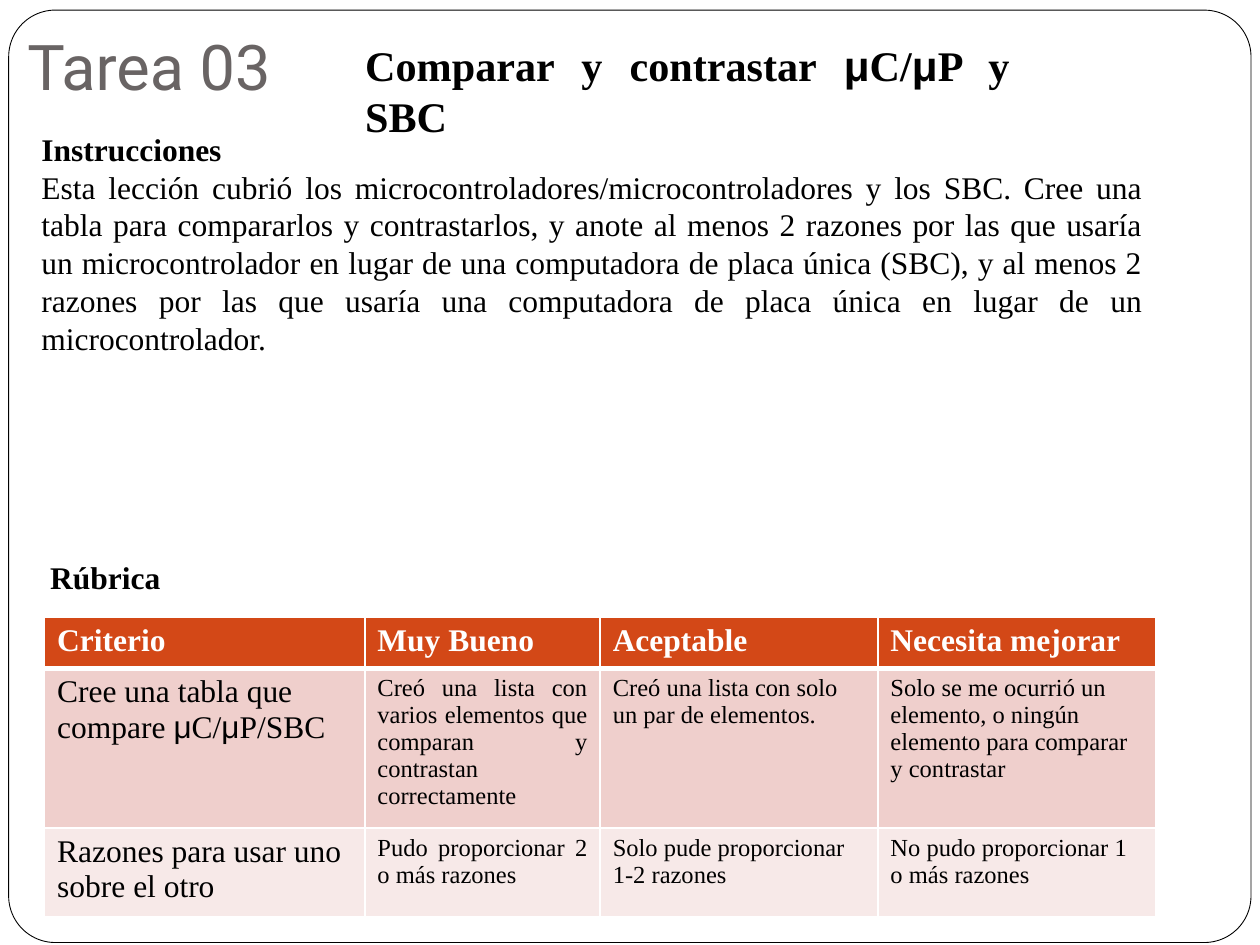
from dataclasses import dataclass, field
from itertools import groupby

from lxml import etree
from pptx import Presentation
from pptx import util as u
from pptx.dml.color import RGBColor
from pptx.enum import shapes, text
from pptx.oxml.ns import qn


@dataclass(frozen=True)
class Theme:
    ink: str = "000000"
    paper: str = "FFFFFF"
    title_ink: str = "696464"
    header: str = "D34817"
    bands: tuple = ("EFCFCC", "F7E9E8")
    serif: str = "Times New Roman"
    greek: str = "Arial"
    display: str = "Roboto"
    title: float = 36
    subtitle: float = 24.1
    body: float = 18
    detail: float = 14


THEME = Theme()
JUSTIFY = text.PP_ALIGN.JUSTIFY


@dataclass(frozen=True)
class Line:
    wording: str
    size: float = THEME.body
    bold: bool = False
    color: str = THEME.ink
    font: str = THEME.serif
    layout: dict = field(default_factory=dict)


@dataclass(frozen=True)
class Block:
    box: tuple
    lines: tuple
    frame: dict = field(default_factory=dict)


def apply(target, values: dict) -> None:
    for name, value in values.items():
        setattr(target, name, value)


def write(frame, lines: tuple) -> None:
    for index, line in enumerate(lines):
        paragraph = frame.add_paragraph() if index else frame.paragraphs[0]
        apply(paragraph, line.layout)
        for is_greek, letters in groupby(line.wording, lambda letter: letter == "μ"):
            run = paragraph.add_run()
            run.text = "".join(letters)
            apply(run.font, {"size": u.Pt(line.size), "bold": line.bold,
                             "name": THEME.greek if is_greek else line.font})
            run.font.color.rgb = RGBColor.from_string(line.color)


def add_block(slide, block: Block) -> None:
    frame = slide.shapes.add_textbox(*map(u.Pt, block.box)).text_frame
    apply(frame, {"word_wrap": True, **block.frame})
    write(frame, block.lines)


def add_border(slide) -> None:
    border = slide.shapes.add_shape(
        shapes.MSO_SHAPE.ROUNDED_RECTANGLE, *map(u.Pt, (5, 5.8, 709.9, 532.8)))
    border.adjustments[0] = 0.05
    border.shadow.inherit = False
    border.fill.solid()
    border.fill.fore_color.rgb = RGBColor.from_string(THEME.paper)
    border.line.color.rgb = RGBColor.from_string(THEME.ink)
    border.line.width = u.Pt(0.5)


def style_cell(cell, fill: str, edges: dict) -> None:
    properties = cell._tc.get_or_add_tcPr()
    for side, width in edges.items():
        edge = etree.SubElement(properties, qn(f"a:ln{side}"), w=str(u.Pt(width)))
        paint = etree.SubElement(edge, qn("a:solidFill"))
        etree.SubElement(paint, qn("a:srgbClr"), val=THEME.paper)
    cell.fill.solid()
    cell.fill.fore_color.rgb = RGBColor.from_string(fill)


def rubric_line(row: int, column: int, wording: str) -> Line:
    if row == 0:
        return Line(wording, bold=True, color=THEME.paper)
    if column == 0:
        return Line(wording)
    return Line(wording, THEME.detail, layout={"alignment": JUSTIFY} if column == 1 else {})


def add_rubric(slide, rows: tuple, widths: tuple, heights: tuple) -> None:
    rubric = slide.shapes.add_table(
        len(rows), len(widths),
        *map(u.Pt, (25.5, 352.8, sum(widths), sum(heights)))).table
    for column, width in zip(rubric.columns, widths):
        column.width = u.Pt(width)
    for row, height in zip(rubric.rows, heights):
        row.height = u.Pt(height)
    fills = (THEME.header, *THEME.bands)
    for row, wordings in enumerate(rows):
        edges = {"L": 1, "R": 1, "T": 3 if row == 1 else 1, "B": 3 if row == 0 else 1}
        for column, wording in enumerate(wordings):
            cell = rubric.cell(row, column)
            style_cell(cell, fills[row], edges)
            write(cell.text_frame, (rubric_line(row, column, wording),))


BLOCKS = (
    Block((8.6, 14.4, 612, 51.8),
          (Line("Tarea 03", THEME.title, color=THEME.title_ink, font=THEME.display),),
          {"vertical_anchor": text.MSO_ANCHOR.BOTTOM, "margin_bottom": u.Pt(7.2)}),
    Block((201.6, 21.6, 382.3, 36.7),
          (Line("Comparar y contrastar μC/μP y SBC", THEME.subtitle, True,
                layout={"alignment": JUSTIFY, "space_before": u.Pt(5.8)}),),
          {"margin_top": u.Pt(1)}),
    Block((16.6, 70.6, 643.7, 116.6),
          (Line("Instrucciones", bold=True),
           Line("Esta lección cubrió los microcontroladores/microcontroladores y los SBC. "
                "Cree una tabla para compararlos y contrastarlos, y anote al menos 2 razones "
                "por las que usaría un microcontrolador en lugar de una computadora de placa "
                "única (SBC), y al menos 2 razones por las que usaría una computadora de "
                "placa única en lugar de un microcontrolador.",
                layout={"alignment": JUSTIFY}))),
    Block((21.6, 315.4, 360, 28.8), (Line("Rúbrica", bold=True),)),
)

RUBRIC = (
    ("Criterio", "Muy Bueno", "Aceptable", "Necesita mejorar"),
    ("Cree una tabla que compare μC/μP/SBC",
     "Creó una lista con varios elementos que comparan y contrastan correctamente",
     "Creó una lista con solo un par de elementos.",
     "Solo se me ocurrió un elemento, o ningún elemento para comparar y contrastar"),
    ("Razones para usar uno sobre el otro",
     "Pudo proporcionar 2 o más razones",
     "Solo pude proporcionar 1-2 razones",
     "No pudo proporcionar 1 o más razones"),
)


def main() -> None:
    deck = Presentation()
    apply(deck, {"slide_width": u.Pt(720), "slide_height": u.Pt(540)})
    slide = deck.slides.add_slide(deck.slide_layouts[6])
    add_border(slide)
    for block in BLOCKS:
        add_block(slide, block)
    add_rubric(slide, RUBRIC, (183, 134.5, 158.7, 158.7), (29.2, 91.2, 50.4))
    deck.save("out.pptx")


if __name__ == "__main__":
    main()
